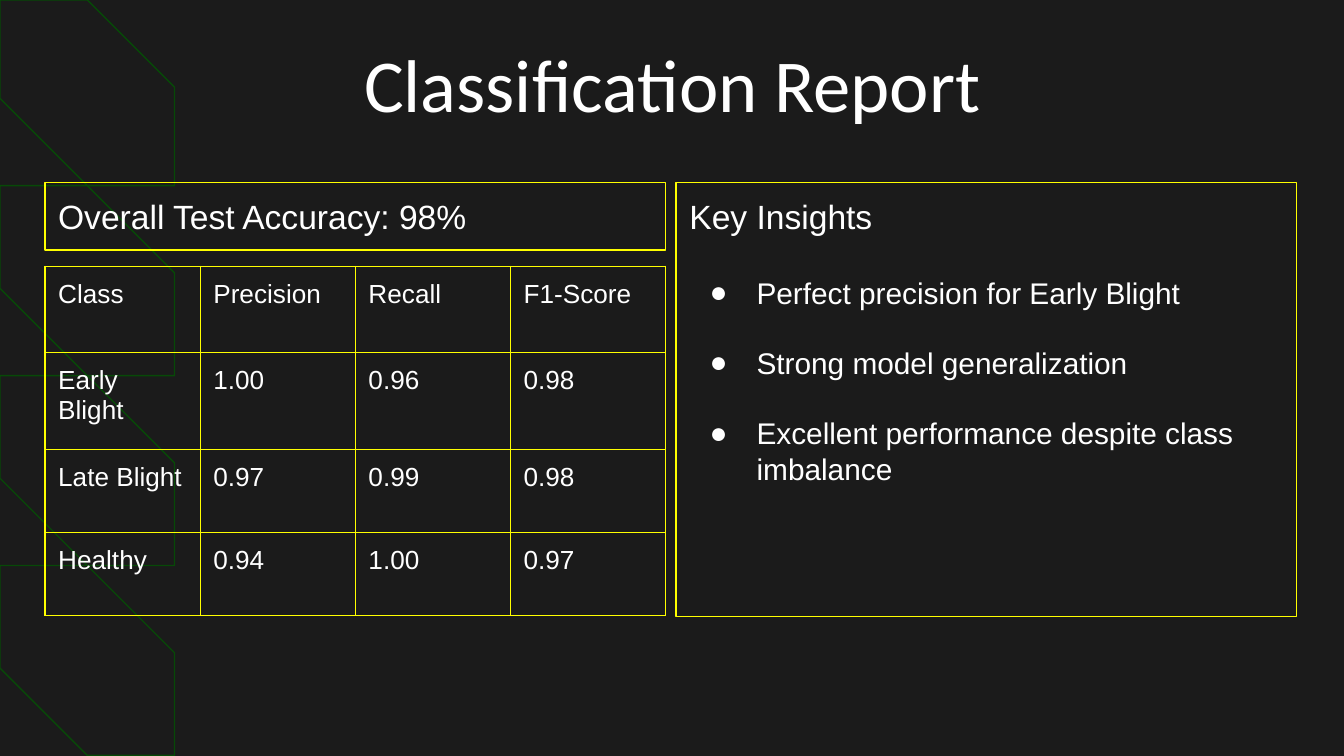
import pptx
import pptx.dml.color
import pptx.enum.shapes
import pptx.enum.text
import pptx.oxml.ns
import pptx.util
from lxml import etree

Cm, Pt = pptx.util.Cm, pptx.util.Pt
qn = pptx.oxml.ns.qn
SHAPE = pptx.enum.shapes.MSO_SHAPE
ALIGN = pptx.enum.text.PP_ALIGN
ANCHOR = pptx.enum.text.MSO_ANCHOR

COLORS = {"back": "1B1B1B", "decor": "074907", "frame": "FFFF00", "text": "FFFFFF"}
TITLE = "Classification Report"
ACCURACY = "Overall Test Accuracy: 98%"
HEADING = "Key Insights"
INSIGHTS = [
    "Perfect precision for Early Blight",
    "Strong model generalization",
    "Excellent performance despite class imbalance",
]
SCORES = [
    ("Class", "Precision", "Recall", "F1-Score"),
    ("Early Blight", "1.00", "0.96", "0.98"),
    ("Late Blight", "0.97", "0.99", "0.98"),
    ("Healthy", "0.94", "1.00", "0.97"),
]
ROWS = [1.64, 1.83, 1.57, 1.57]

# Centimetres
WIDE, HIGH = 25.4, 14.29
LEFT, RIGHT, TOP = 0.85, 12.78, 3.45
PANEL, INSET = 11.73, 0.25


def rgb(name):
    return pptx.dml.color.RGBColor.from_string(COLORS[name])


def add_run(para, text, size, font="Arial"):
    run = para.add_run()
    run.text = text
    run.font.size = Pt(size)
    run.font.name = font
    run.font.color.rgb = rgb("text")


def add_frame(slide, kind, box, color):
    """Add an outlined shape without fill; box is left, top, width, height."""
    shape = slide.shapes.add_shape(kind, *map(Cm, box))
    shape.shadow.inherit = False
    shape.fill.background()
    shape.line.color.rgb = rgb(color)
    shape.line.width = Pt(0.75)
    return shape


def add_panel(slide, box, heading):
    frame = add_frame(slide, SHAPE.RECTANGLE, box, "frame").text_frame
    frame.word_wrap = True
    frame.vertical_anchor = ANCHOR.TOP
    frame.margin_left = frame.margin_right = Cm(INSET)
    frame.margin_top = frame.margin_bottom = Cm(INSET)
    para = frame.paragraphs[0]
    para.alignment = ALIGN.LEFT
    add_run(para, heading, 18)
    return frame


def add_bullet(frame, text, gap):
    para = frame.add_paragraph()
    para.alignment = ALIGN.LEFT
    para.space_before = Pt(gap)
    props = para._p.get_or_add_pPr()
    props.set("marL", str(Cm(1.27)))
    props.set("indent", str(Cm(-0.89)))
    color = etree.SubElement(props, qn("a:buClr"))
    etree.SubElement(color, qn("a:srgbClr"), val=COLORS["text"])
    etree.SubElement(props, qn("a:buFont"), typeface="Arial")
    etree.SubElement(props, qn("a:buChar"), char="●")
    add_run(para, text, 16)


def set_borders(cell):
    props = cell._tc.get_or_add_tcPr()
    for side in ("lnL", "lnR", "lnT", "lnB"):
        line = etree.SubElement(props, qn("a:" + side), w=str(Pt(0.75)))
        fill = etree.SubElement(line, qn("a:solidFill"))
        etree.SubElement(fill, qn("a:srgbClr"), val=COLORS["frame"])


def add_scores(slide, top):
    rows, cols = len(SCORES), len(SCORES[0])
    box = (LEFT, top, PANEL, sum(ROWS))
    table = slide.shapes.add_table(rows, cols, *map(Cm, box)).table
    table.first_row = table.horz_banding = False
    for col in table.columns:
        col.width = Cm(PANEL / cols)
    for row, height, values in zip(table.rows, ROWS, SCORES):
        row.height = Cm(height)
        for cell, value in zip(row.cells, values):
            cell.margin_left = cell.margin_right = Cm(INSET)
            cell.margin_top = cell.margin_bottom = Cm(INSET)
            set_borders(cell)
            cell.fill.background()
            add_run(cell.text_frame.paragraphs[0], value, 14)


def add_title(slide):
    title = slide.shapes.title
    title.left, title.top = Cm(3.43), Cm(0.64)
    title.width, title.height = Cm(18.8), Cm(2.06)
    frame = title.text_frame
    frame.word_wrap = True
    frame.vertical_anchor = ANCHOR.MIDDLE
    frame.margin_left = 0
    frame.margin_right = frame.margin_top = frame.margin_bottom = Cm(INSET)
    para = frame.paragraphs[0]
    para.alignment = ALIGN.CENTER
    para.line_spacing = 0.9
    add_run(para, TITLE, 40, "Calibri")


def add_decor(slide):
    first, step = 3.51, 3.59
    boxes = [(0, first)] + [(first + i * step, step) for i in range(3)]
    for top, height in boxes:
        shape = add_frame(slide, SHAPE.SNIP_2_DIAG_RECTANGLE,
                          (0, top, 3.3, height), "decor")
        shape.adjustments[0], shape.adjustments[1] = 0, 0.5


def main():
    deck = pptx.Presentation()
    deck.slide_width, deck.slide_height = Cm(WIDE), Cm(HIGH)
    slide = deck.slides.add_slide(deck.slide_layouts[5])
    slide.background.fill.solid()
    slide.background.fill.fore_color.rgb = rgb("back")
    add_decor(slide)
    add_title(slide)
    # Bring the title in front of the decoration
    slide.shapes._spTree.append(slide.shapes.title._element)

    insights = add_panel(slide, (RIGHT, TOP, PANEL, 8.2), HEADING)
    for i, text in enumerate(INSIGHTS):
        add_bullet(insights, text, 18.4 if i else 20.7)
    add_panel(slide, (LEFT, TOP, PANEL, 1.28), ACCURACY)
    add_scores(slide, 5.03)
    deck.save("out.pptx")


if __name__ == "__main__":
    main()
